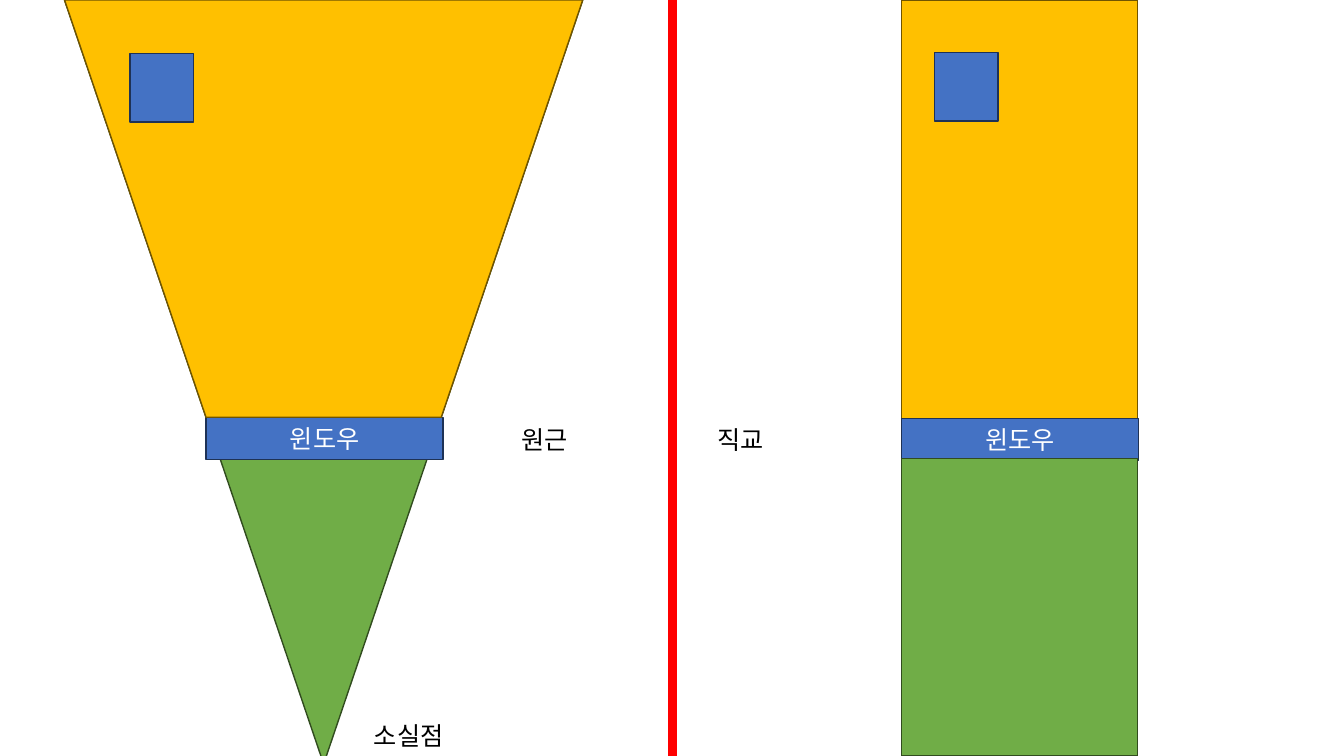
from lxml import etree
from pptx import Presentation
from pptx import util as u
from pptx.dml.color import RGBColor
from pptx.enum import shapes, text
from pptx.oxml.ns import qn

COLORS = {
    "yellow": ("FFC000", "705400"),
    "green": ("70AD47", "314C1F"),
    "blue": ("4472C4", "1E3256"),
    "divider": "FF0000",
    "white": "FFFFFF",
    "black": "000000",
}
FONT = "Noto Sans CJK KR"
KIND = shapes.MSO_SHAPE
WINDOW_WIDTH, WINDOW_HEIGHT = 2.35, 0.42


def write(shape, words, color, align, **frame_format):
    """Put one styled line of text in a shape."""
    frame = shape.text_frame
    for name, value in frame_format.items():
        setattr(frame, name, value)
    para = frame.paragraphs[0]
    para.alignment = align
    span = para.add_run()
    span.text = words
    for name, value in {"name": FONT, "size": u.Pt(18)}.items():
        setattr(span.font, name, value)
    span.font.color.rgb = RGBColor.from_string(COLORS[color])
    etree.SubElement(span.font._element, qn("a:ea"), typeface=FONT)


def add_block(page, kind, box, color, flipped=False):
    """Draw a filled, outlined shape, upside down if flipped."""
    shape = page.shapes.add_shape(kind, *map(u.Inches, box))
    fill, line = COLORS[color]
    shape.shadow.inherit = False
    shape.fill.solid()
    shape.fill.fore_color.rgb = RGBColor.from_string(fill)
    shape.line.color.rgb = RGBColor.from_string(line)
    shape.line.width = u.Pt(1)
    if flipped:
        shape._element.spPr.find(qn("a:xfrm")).set("flipV", "1")
    return shape


def add_window(page, left, top):
    """Draw the window bar with its name."""
    bar = add_block(page, KIND.RECTANGLE, (left, top, WINDOW_WIDTH, WINDOW_HEIGHT), "blue")
    write(bar, "윈도우", "white", text.PP_ALIGN.CENTER,
          word_wrap=True, vertical_anchor=text.MSO_ANCHOR.MIDDLE)


def add_object(page, left, top):
    """Draw the object seen through the window."""
    add_block(page, KIND.RECTANGLE, (left, top, 0.63, 0.68), "blue")


def add_label(page, words, left, top, width):
    """Place a one-line caption."""
    box = page.shapes.add_textbox(*map(u.Inches, (left, top, width, 0.4)))
    write(box, words, "black", text.PP_ALIGN.LEFT,
          word_wrap=False, auto_size=text.MSO_AUTO_SIZE.SHAPE_TO_FIT_TEXT)


def add_perspective(page, left, top, width, height):
    """Draw the view volume that narrows to the vanishing point."""
    depth = 4.14
    add_block(page, KIND.ISOSCELES_TRIANGLE, (left, top, width, height), "green", True)
    add_window(page, left + (width - WINDOW_WIDTH) / 2 + 0.01, top + depth)
    volume = add_block(page, KIND.TRAPEZOID, (left, top, width, depth), "yellow", True)
    volume.adjustments[0] = 0.339
    add_object(page, left + 0.65, top + 0.53)
    add_label(page, "원근", left + 4.43, top + 4.16, 0.71)
    add_label(page, "소실점", left + 2.97, top + 7.1, 0.96)


def add_orthographic(page, left, top, width, height):
    """Draw the view volume that keeps its width."""
    near = 4.55
    add_block(page, KIND.RECTANGLE, (left, top, width, height), "yellow")
    add_window(page, left, top + 4.15)
    add_object(page, left + 0.33, top + 0.52)
    add_block(page, KIND.RECTANGLE, (left, top + near, width, height - near), "green")
    add_label(page, "직교", left - 1.92, top + 4.16, 0.71)


def add_divider(page, x, top, bottom):
    """Draw the vertical line between the two views."""
    line = page.shapes.add_connector(
        shapes.MSO_CONNECTOR.STRAIGHT, *map(u.Inches, (x, top, x, bottom)))
    line.line.color.rgb = RGBColor.from_string(COLORS["divider"])
    line.line.width = u.Pt(6)
    etree.SubElement(line._element.spPr, qn("a:effectLst"))


def main():
    """Build the slide and save it."""
    deck = Presentation()
    deck.slide_width, deck.slide_height = u.Inches(13.33), u.Inches(7.5)
    page = deck.slides.add_slide(deck.slide_layouts[6])
    add_perspective(page, 0.64, 0, 5.14, 7.58)
    add_orthographic(page, 8.94, 0, 2.34, 7.5)
    add_divider(page, 6.67, 0, 7.5)
    deck.save("out.pptx")


if __name__ == "__main__":
    main()
